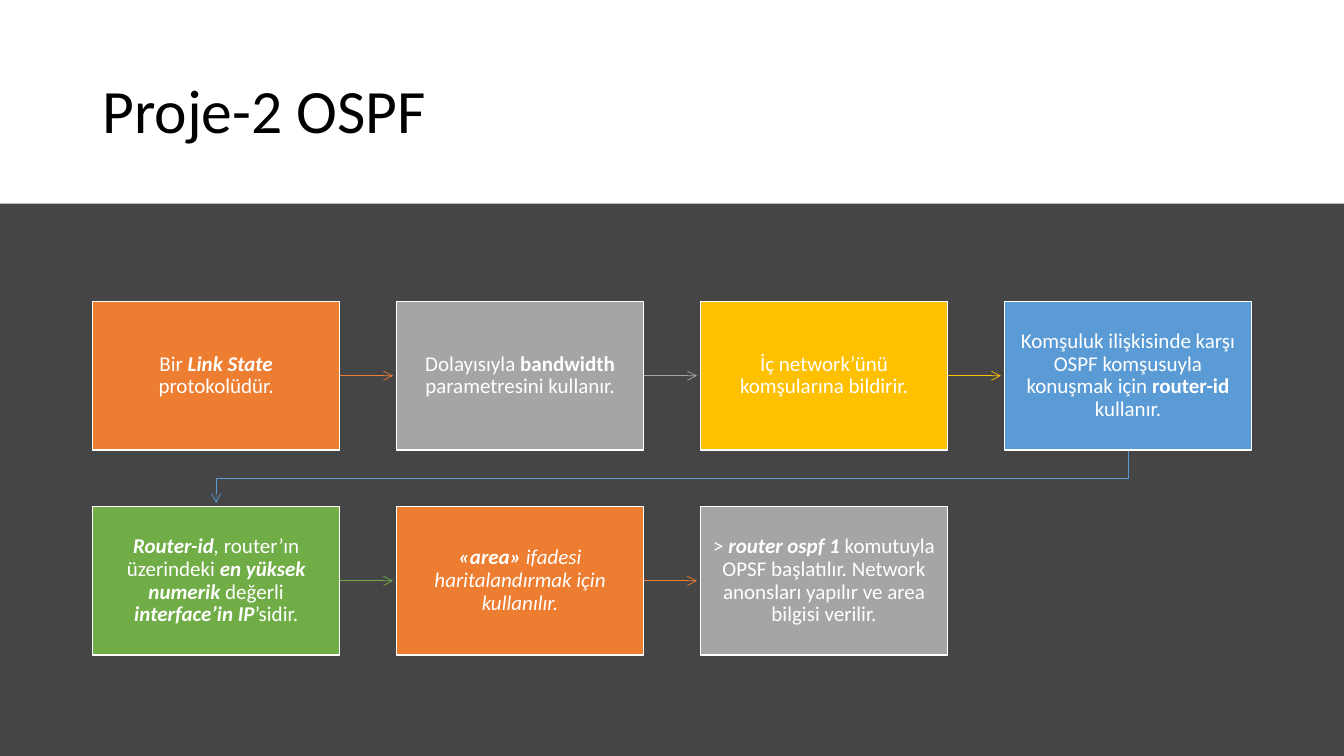
from lxml.etree import SubElement
from pptx import Presentation
from pptx.dml.color import RGBColor
from pptx.enum.shapes import MSO_CONNECTOR, MSO_SHAPE
from pptx.enum.text import MSO_ANCHOR, PP_ALIGN
from pptx.oxml.ns import qn
from pptx.util import Pt

RECT = MSO_SHAPE.RECTANGLE
STRAIGHT = MSO_CONNECTOR.STRAIGHT
MIDDLE = MSO_ANCHOR.MIDDLE
LEFT = PP_ALIGN.LEFT
CENTER = PP_ALIGN.CENTER

WIDE, HIGH = 960, 540
BAND = 145.4
COLS = 4
BOX_W, BOX_H = 176.4, 106
START_X, START_Y = 66.2, 215.4
STEP_X, STEP_Y = 217.1, 146.5
TIP_GAP = 2.6

ORANGE, GRAY, GOLD = "ED7D31", "A5A5A5", "FFC000"
BLUE, GREEN = "5B9BD5", "70AD47"
WHITE, BLACK, DARK = "FFFFFF", "000000", "454545"

STEPS = [
    (ORANGE, [("Bir ", ""), ("Link State ", "bi"), ("protokolüdür.", "")]),
    (GRAY, [("Dolayısıyla ", ""), ("bandwidth ", "b"),
            ("parametresini kullanır.", "")]),
    (GOLD, [("İç network’ünü komşularına bildirir.", "")]),
    (BLUE, [("Komşuluk ilişkisinde karşı OSPF komşusuyla konuşmak için ", ""),
            ("router-id ", "b"), ("kullanır.", "")]),
    (GREEN, [("Router-id", "bi"), (",", "i"), (" router’ın üzerindeki ", ""),
             ("en yüksek numerik ", "bi"), ("değerli ", ""),
             ("interface’in IP", "bi"), ("’sidir.", "")]),
    (ORANGE, [("«area» ", "bi"),
              ("ifadesi haritalandırmak için kullanılır.", "i")]),
    (GRAY, [("> ", ""), ("router ospf 1 ", "bi"),
            ("komutuyla OPSF başlatılır. Network anonsları yapılır "
             "ve area bilgisi verilir.", "")]),
]


def paint(target, color):
    target.solid()
    target.fore_color.rgb = RGBColor.from_string(color)


def add_rect(slide, x, y, w, h, color):
    rect = slide.shapes.add_shape(RECT, Pt(x), Pt(y), Pt(w), Pt(h))
    rect.shadow.inherit = False
    paint(rect.fill, color)
    rect.line.fill.background()
    return rect


def write(frame, parts, size, color, align):
    frame.word_wrap = True
    frame.vertical_anchor = MIDDLE
    para = frame.paragraphs[0]
    para.alignment = align
    para.line_spacing = 0.9
    for text, style in parts:
        run = para.add_run()
        run.text = text
        run.font.name = "Calibri"
        run.font.size = Pt(size)
        run.font.bold = "b" in style
        run.font.italic = "i" in style
        paint(run.font.fill, color)


def add_title(slide, text):
    box = slide.shapes.add_textbox(Pt(66), Pt(28.8), Pt(828), Pt(104.4))
    write(box.text_frame, [(text, "")], 44, BLACK, LEFT)


def add_step(slide, x, y, color, parts):
    box = add_rect(slide, x, y, BOX_W, BOX_H, color)
    paint(box.line.fill, WHITE)
    box.line.width = Pt(1)
    frame = box.text_frame
    frame.margin_left = frame.margin_right = Pt(8.6)
    frame.margin_top = frame.margin_bottom = Pt(9.4)
    write(frame, parts, 15, WHITE, CENTER)


def style_arrow(arrow, color):
    paint(arrow.line.fill, color)
    arrow.line.width = Pt(0.5)
    props = arrow.element.spPr
    SubElement(props.find(qn("a:ln")), qn("a:tailEnd"), type="arrow")
    SubElement(props, qn("a:effectLst"))


def add_arrow(slide, x, y, color):
    mid = Pt(y + BOX_H / 2)
    tip = Pt(x + STEP_X - TIP_GAP)
    arrow = slide.shapes.add_connector(STRAIGHT, Pt(x + BOX_W), mid, tip, mid)
    style_arrow(arrow, color)


def add_turn(slide, x, y, color):
    start, end = Pt(x + BOX_W / 2), Pt(START_X + BOX_W / 2)
    top, mid = Pt(y + BOX_H), Pt(y + (BOX_H + STEP_Y) / 2)
    tip = Pt(y + STEP_Y - TIP_GAP)
    path = slide.shapes.build_freeform(start, top)
    path.add_line_segments([(start, mid), (end, mid), (end, tip)], close=False)
    turn = path.convert_to_shape()
    turn.fill.background()
    style_arrow(turn, color)


def main():
    deck = Presentation()
    deck.slide_width, deck.slide_height = Pt(WIDE), Pt(HIGH)
    slide = deck.slides.add_slide(deck.slide_layouts[6])
    paint(slide.background.fill, DARK)
    add_rect(slide, 0, 0, WIDE, BAND, WHITE)
    add_title(slide, "Proje-2 OSPF")
    for index, (color, parts) in enumerate(STEPS):
        row, col = divmod(index, COLS)
        x, y = START_X + col * STEP_X, START_Y + row * STEP_Y
        if index < len(STEPS) - 1:
            link = add_turn if col == COLS - 1 else add_arrow
            link(slide, x, y, color)
        add_step(slide, x, y, color, parts)
    deck.save("out.pptx")


if __name__ == "__main__":
    main()
